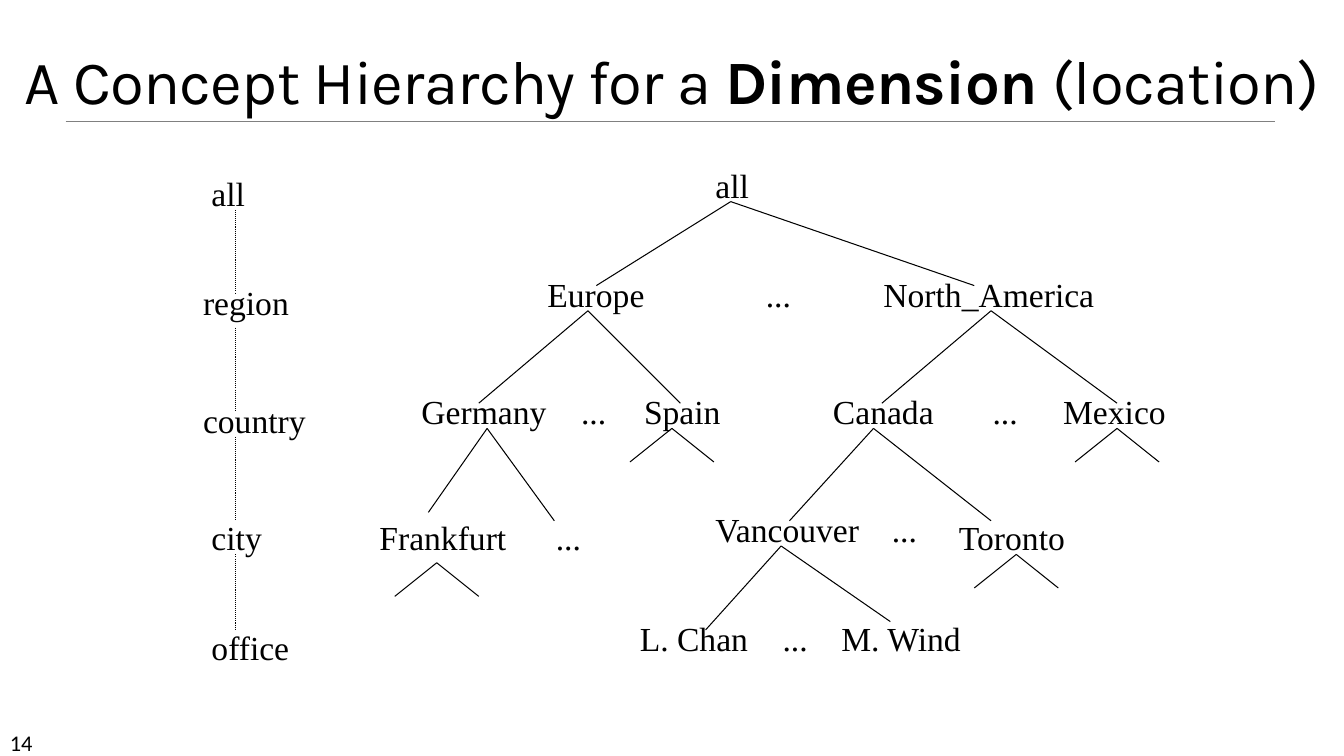
from pptx import Presentation
from pptx import util as u
from pptx.dml.color import RGBColor
from pptx.enum import dml, shapes, text
from pptx.oxml.ns import qn
from lxml import etree

UNIT = 2.54 / 12  # grid step in cm; places below count these steps

# Labels: words, left, top, width in cm
TREE = [
    ("all", 84, 19, 1.35),
    ("Europe", 64, 32, 2.95), ("...", 90, 32, 1.14), ("North_America", 104, 32, 5.82),
    ("Germany", 49, 46, 3.66), ("...", 68, 46, 1.14), ("Spain", 75.5, 46, 2.44),
    ("Canada", 98, 46, 3.05), ("...", 117, 46, 1.14), ("Mexico", 125.4, 46, 3.1),
    ("Frankfurt", 44, 61, 3.71), ("...", 65, 61, 1.14), ("Vancouver", 84, 60, 4.22),
    ("...", 105, 60, 1.14), ("Toronto", 113, 61, 3.23),
    ("L. Chan", 75, 73, 3.23), ("...", 92, 73, 1.14), ("M. Wind", 99, 73, 3.56),
]
LEVELS = [
    ("all", 24, 20, 1.35), ("region", 23, 33, 2.67), ("country", 23, 47, 3.1),
    ("city", 24, 61, 1.78), ("office", 24, 74, 2.49),
]

# Forks: top point, then the two lower ends
FORKS = [
    ((87, 24), (71, 34), (116, 34)),
    ((70, 37), (57, 48), (81, 48)),
    ((118, 37), (105, 48), (133, 48)),
    ((58, 51), (51, 61), (66, 62)),
    ((104, 51), (94, 62), (118, 62)),
    ((93, 65), (84, 75), (106, 74)),
]
STUBS = [(80, 51), (133, 51), (52, 67), (121, 66)]
GAPS = [(25, 35), (39, 49), (52, 62), (66, 75)]


def grid(n):
    return u.Cm(n * UNIT)


def paint(color, code):
    color.rgb = RGBColor.from_string(code)


def style(run, font, size, code="000000"):
    run.font.name = font
    run.font.size = u.Pt(size)
    paint(run.font.color, code)


def line(slide, start, end, code="000000", width=0.75, dash=None):
    ends = [grid(n) for n in (*start, *end)]
    link = slide.shapes.add_connector(shapes.MSO_CONNECTOR.STRAIGHT, *ends)
    paint(link.line.color, code)
    link.line.width = u.Pt(width)
    if dash:
        link.line.dash_style = dash
    etree.SubElement(link._element.spPr, qn("a:effectLst"))


def label(slide, words, left, top, width, height=1.27,
          font="Times New Roman", size=24):
    box = slide.shapes.add_textbox(grid(left), grid(top), u.Cm(width), u.Cm(height))
    frame = box.text_frame
    frame.text = words
    frame.word_wrap = False
    style(frame.paragraphs[0].runs[0], font, size)


def heading(slide, parts):
    title = slide.shapes.title
    title.left, title.top = u.Cm(0), u.Cm(-0.2)
    title.width, title.height = u.Cm(33.87), u.Cm(3.27)
    frame = title.text_frame
    frame.auto_size = text.MSO_AUTO_SIZE.NONE
    frame.word_wrap = True
    frame.vertical_anchor = text.MSO_ANCHOR.BOTTOM
    para = frame.paragraphs[0]
    para.alignment = text.PP_ALIGN.CENTER
    para.line_spacing = 0.85
    for words, bold in parts:
        run = para.add_run()
        run.text = words
        style(run, "Karla", 44)
        run.font.bold = bold
        run.font._element.set("spc", "-50")


def main():
    deck = Presentation()
    deck.slide_width, deck.slide_height = u.Cm(33.87), u.Cm(19.05)
    slide = deck.slides.add_slide(deck.slide_layouts[5])

    # Title, rule and page number
    line(slide, (7.8, 14.4), (151.8, 14.4), "808080", 0.5)
    label(slide, "14", 0, 86.2, 2.97, 0.76, "Calibri", 16)
    heading(slide, [("A Concept Hierarchy for a ", False),
                    ("Dimension ", True), ("(location)", False)])

    # Words of the tree and of the level names
    for item in TREE + LEVELS:
        label(slide, *item)

    # Branches, with short stubs where the tree goes on
    stubs = [((x, y), (x - 5, y + 4), (x + 5, y + 4)) for x, y in STUBS]
    for top, *ends in FORKS + stubs:
        for end in ends:
            line(slide, top, end)

    # Dotted links between the levels
    for top, low in GAPS:
        line(slide, (28, top), (28, low), dash=dml.MSO_LINE.ROUND_DOT)

    deck.save("out.pptx")


if __name__ == "__main__":
    main()
